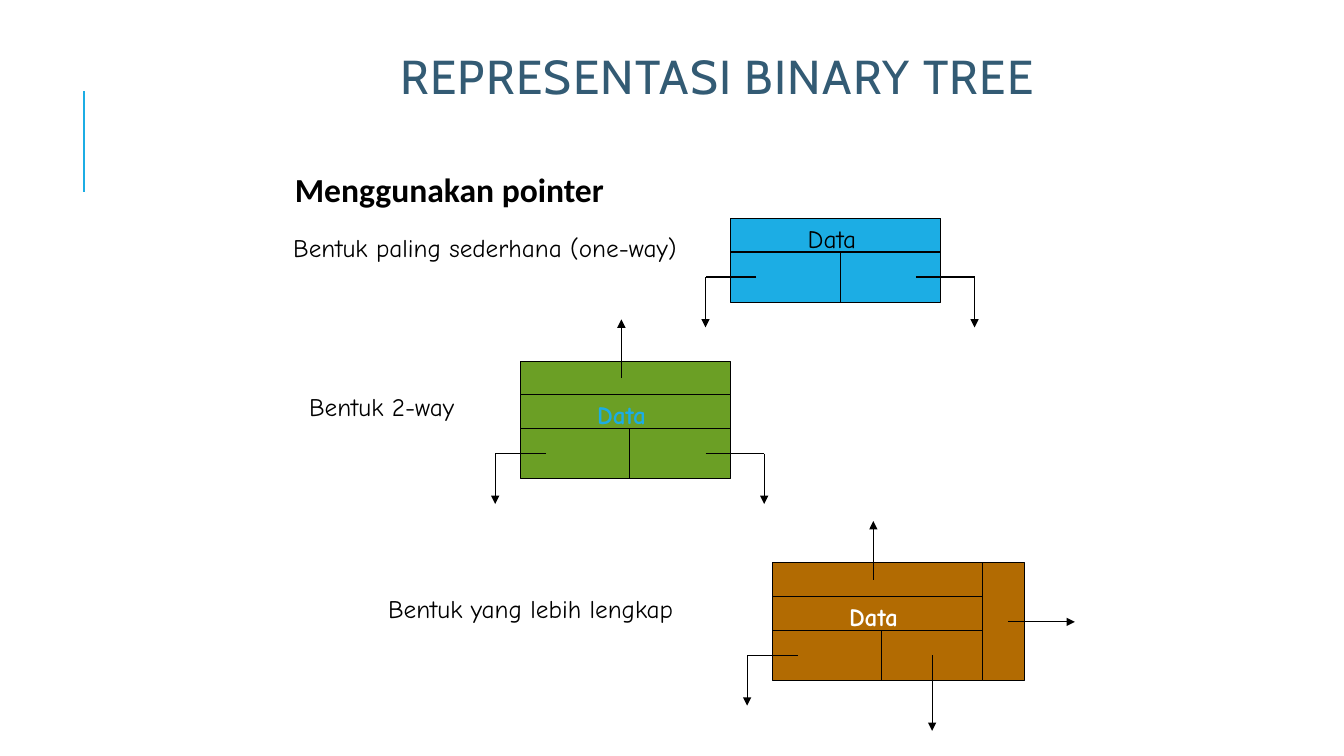
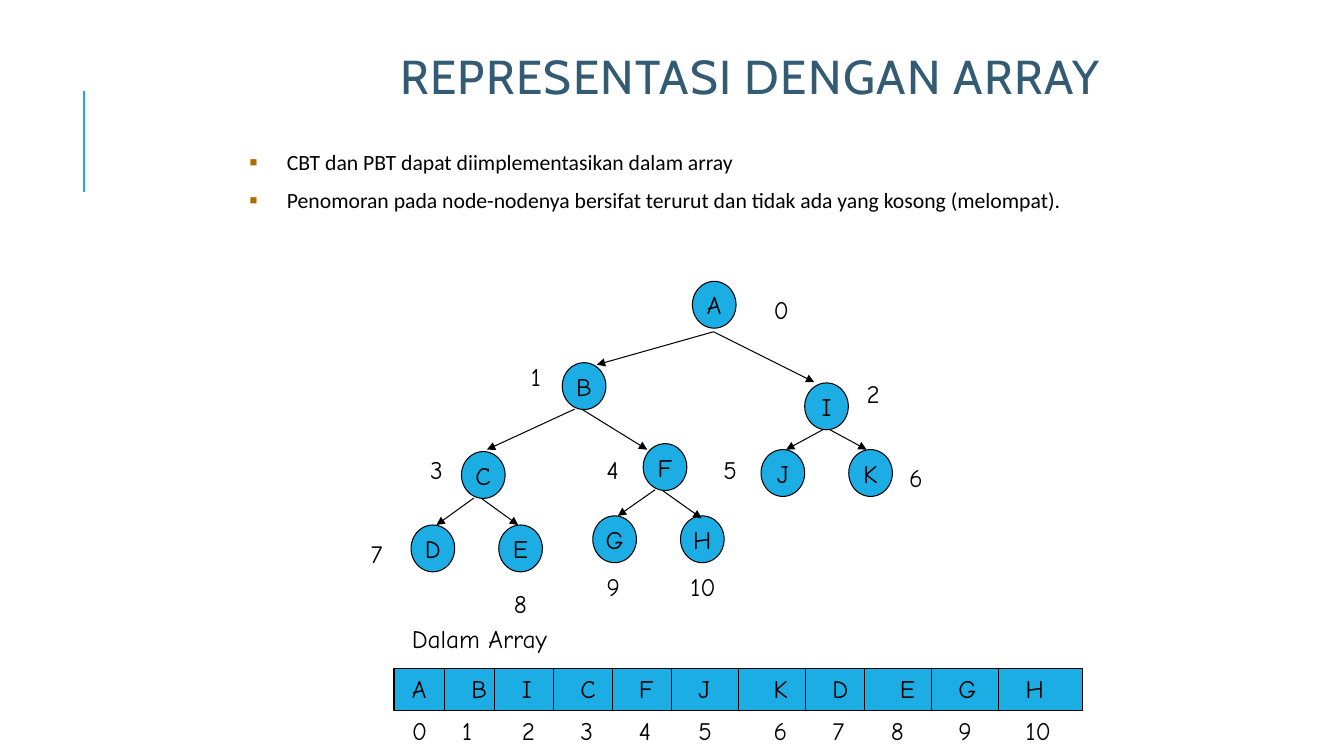
from lxml import etree
from pptx import Presentation
from pptx.dml.color import RGBColor
from pptx.enum import shapes, text
from pptx.oxml.ns import qn
from pptx.util import Cm, Pt

INK = {"sky": "1CADE4", "green": "6B9F25", "brown": "B26B02",
       "navy": "335B74", "black": "000000", "white": "FFFFFF"}
TITLE = {"name": "Cabin", "size": Pt(34)}
LABEL = {"name": "Comic Neue", "size": Pt(18)}
RECT, OVAL = shapes.MSO_SHAPE.RECTANGLE, shapes.MSO_SHAPE.OVAL
MID = {"alignment": text.PP_ALIGN.CENTER}


def put(slide, area, words="", fill=None, kind=RECT, ink="black", bold=False, para=None):
    """Add a filled, outlined shape, or a plain text box when fill is None."""
    area = [Cm(n) for n in area]
    if fill:
        item = slide.shapes.add_shape(kind, *area)
        item.shadow.inherit = False
        item.fill.solid()
        item.fill.fore_color.rgb = RGBColor.from_string(INK[fill])
        item.line.color.rgb = RGBColor.from_string(INK["black"])
        item.line.width = Pt(0.75)
    else:
        item = slide.shapes.add_textbox(*area)
    if words:
        frame = item.text_frame
        frame.word_wrap = not fill
        frame.text = words
        part = frame.paragraphs[0]
        for key, val in (para or {}).items():
            setattr(part, key, val)
        for key, val in {**LABEL, "bold": bold}.items():
            setattr(part.font, key, val)
        part.font.color.rgb = RGBColor.from_string(INK[ink])


def link(slide, x1, y1, x2, y2, head=False, ink="black", width=0.75):
    """Add a straight line, with an arrowhead at its end if head is set."""
    item = slide.shapes.add_connector(shapes.MSO_CONNECTOR.STRAIGHT,
                                      Cm(x1), Cm(y1), Cm(x2), Cm(y2))
    item.line.color.rgb = RGBColor.from_string(INK[ink])
    item.line.width = Pt(width)
    if head:
        etree.SubElement(item.line._get_or_add_ln(), qn("a:tailEnd"), type="triangle")
    etree.SubElement(item.element.spPr, qn("a:effectLst"))
    return item


deck = Presentation()
deck.slide_width, deck.slide_height = Cm(33.87), Cm(19.05)
base = deck.slide_layouts[1]

# Titles and lists
pages = [
    ("REPRESENTASI BINARY TREE", (6.35, 4.24, 21.39, 1.27),
     ["Menggunakan pointer"], {"size": Pt(24), "bold": True}, 0.9, False),
    ("REPRESENTASI DENGAN ARRAY", (6.15, 3.81, 21.39, 3.18),
     ["CBT dan PBT dapat diimplementasikan dalam array",
      "Penomoran pada node-nodenya bersifat terurut dan tidak ada yang kosong (melompat)."],
     {"size": Pt(15.5)}, 0.7, True),
]
made = []
for head, area, rows, form, gap, dots in pages:
    slide = deck.slides.add_slide(base)
    made.append(slide)
    title, body = slide.placeholders
    for item, spot in ((title, (9.83, 1.22, 18.49, 1.52)), (body, area)):
        for side, val in zip(("left", "top", "width", "height"), spot):
            setattr(item, side, Cm(val))
        item.text_frame.auto_size = text.MSO_AUTO_SIZE.NONE
    title.text_frame.vertical_anchor = text.MSO_ANCHOR.BOTTOM
    title.text_frame.text = head
    part = title.text_frame.paragraphs[0]
    part.alignment, part.line_spacing = text.PP_ALIGN.LEFT, 0.8
    run = part.runs[0]
    for key, val in TITLE.items():
        setattr(run.font, key, val)
    run.font.color.rgb = RGBColor.from_string(INK["navy"])
    run._r.get_or_add_rPr().set("spc", "100")

    frame = body.text_frame
    frame.vertical_anchor = text.MSO_ANCHOR.TOP
    for side in ("left", "top", "right", "bottom"):
        setattr(frame, "margin_" + side, Cm(0.13))
    frame.text = "\n".join(rows)
    for part in frame.paragraphs:
        for key, val in {"line_spacing": gap, "space_before": Pt(12),
                         "space_after": Pt(2)}.items():
            setattr(part, key, val)
        for key, val in {"name": "Calibri", **form}.items():
            setattr(part.runs[0].font, key, val)
        part.runs[0].font.color.rgb = RGBColor.from_string(INK["black"])
        props = part._p.get_or_add_pPr()
        props.set("marL", str(Cm(0.95)))
        props.set("indent", str(-Cm(0.95) if dots else 0))
        if dots:
            tint = etree.SubElement(props, qn("a:buClr"))
            etree.SubElement(tint, qn("a:srgbClr"), val=INK["brown"])
            etree.SubElement(props, qn("a:buSzPct"), val="115000")
            etree.SubElement(props, qn("a:buChar"), char="▪")
        else:
            etree.SubElement(props, qn("a:buNone"))

# The accent line belongs to the shared layout
bar = link(made[0], 2.12, 4.83, 2.12, 2.29, ink="sky", width=1.5)
bar.element.nvCxnSpPr.cNvPr.set("id", "90")
base.shapes.element.append(bar.element)

# Slide 1: three kinds of node
slide = made[0]
kinds = [
    ("Bentuk paling sederhana (one-way)", 7.14, 5.72, 18.42, 5.5, "sky", "black"),
    ("Bentuk 2-way", 7.54, 9.73, 13.12, 9.95, "green", "sky"),
    ("Bentuk yang lebih lengkap", 9.53, 14.82, 19.47, 15.03, "brown", "white"),
]
for words, left, top, x, y, fill, ink in kinds:
    two_way, full = fill != "sky", fill == "brown"
    put(slide, (left, top, 10.9, 1.02), words)
    put(slide, (x, y, 5.29, 2.12), fill=fill)
    lines = [
        (0, 0.85, 5.29, 0.85, False),
        (2.75, 0.85, 2.75, 2.12, False),
        (0.64, 1.48, -0.64, 1.48, False),
        (-0.64, 1.48, -0.64, 2.75, True),
    ]
    if full:
        lines += [(4.02, 1.48, 4.02, 3.39, True), (5.93, 0.64, 7.62, 0.64, True)]
        put(slide, (x + 5.29, y - 0.85, 1.06, 2.97), fill=fill)
    else:
        lines += [(4.66, 1.48, 6.14, 1.48, False), (6.14, 1.48, 6.14, 2.75, True)]
    if two_way:
        lines.append((2.54, -0.42, 2.54, -1.9, True))
        put(slide, (x, y - 0.85, 5.29, 0.85), fill=fill)
    for x1, y1, x2, y2, head in lines:
        link(slide, x + x1, y + y1, x + x2, y + y2, head)
    put(slide, (x + 0.85, y, 3.39, 1.02), "Data", ink=ink, bold=two_way, para=MID)

# Slide 2: tree and array, in level order
# name, node left and top, number left and top, cell letter left, cell number left
slide = made[1]
nodes = [
    ("A", 17.45, 7.09, 19.25, 7.29, 10.13, 10.13),
    ("B", 14.17, 9.14, 13.13, 8.99, 11.63, 11.4),
    ("I", 20.28, 9.65, 21.59, 9.42, 12.9, 12.9),
    ("C", 11.63, 11.38, 10.59, 11.33, 14.38, 14.38),
    ("F", 16.21, 11.18, 15.04, 11.33, 15.85, 15.85),
    ("J", 19.18, 11.33, 17.98, 11.33, 17.35, 17.35),
    ("K", 21.39, 11.33, 22.66, 11.53, 19.25, 19.25),
    ("D", 10.36, 13.23, 9.09, 13.44, 20.73, 20.73),
    ("E", 12.57, 13.23, 12.7, 14.71, 22.43, 22.2),
    ("G", 14.94, 13, 15.04, 14.27, 23.9, 23.9),
    ("H", 17.15, 13, 17.15, 14.27, 25.6, 25.6),
]
edges = [
    (17.98, 8.36, 15.04, 9.19), (17.98, 8.36, 20.52, 9.63),
    (14.48, 10.31, 12.27, 11.33), (14.66, 10.31, 16.31, 11.33),
    (20.75, 10.82, 19.81, 11.33), (20.9, 10.82, 21.84, 11.33),
    (11.94, 12.55, 11, 13.23), (12.12, 12.55, 13.06, 13.23),
    (16.51, 12.34, 15.57, 13), (16.71, 12.37, 17.68, 13.06),
]
walls = [11.2, 12.47, 13.94, 15.44, 16.92, 18.62, 20.29, 21.79, 23.47, 25.17]

put(slide, (9.93, 16.84, 17.35, 1.07), fill="sky")
put(slide, (10.13, 15.57, 5.08, 1.02), "Dalam Array")
for x in walls:
    link(slide, x, 16.84, x, 17.91)
for rank, (name, x, y, left, top, cell, mark) in enumerate(nodes):
    wide = 1.47 if rank > 9 else 0.84
    put(slide, (x, y, 1.1, 1.18), name, "sky", OVAL, para=MID)
    put(slide, (left, top, wide, 1.02), str(rank))
    put(slide, (cell, 16.84, 1.27, 1.02), name)
    put(slide, (mark, 17.91, wide, 1.02), str(rank))
for edge in edges:
    link(slide, *edge, head=True)

deck.save("out.pptx")
